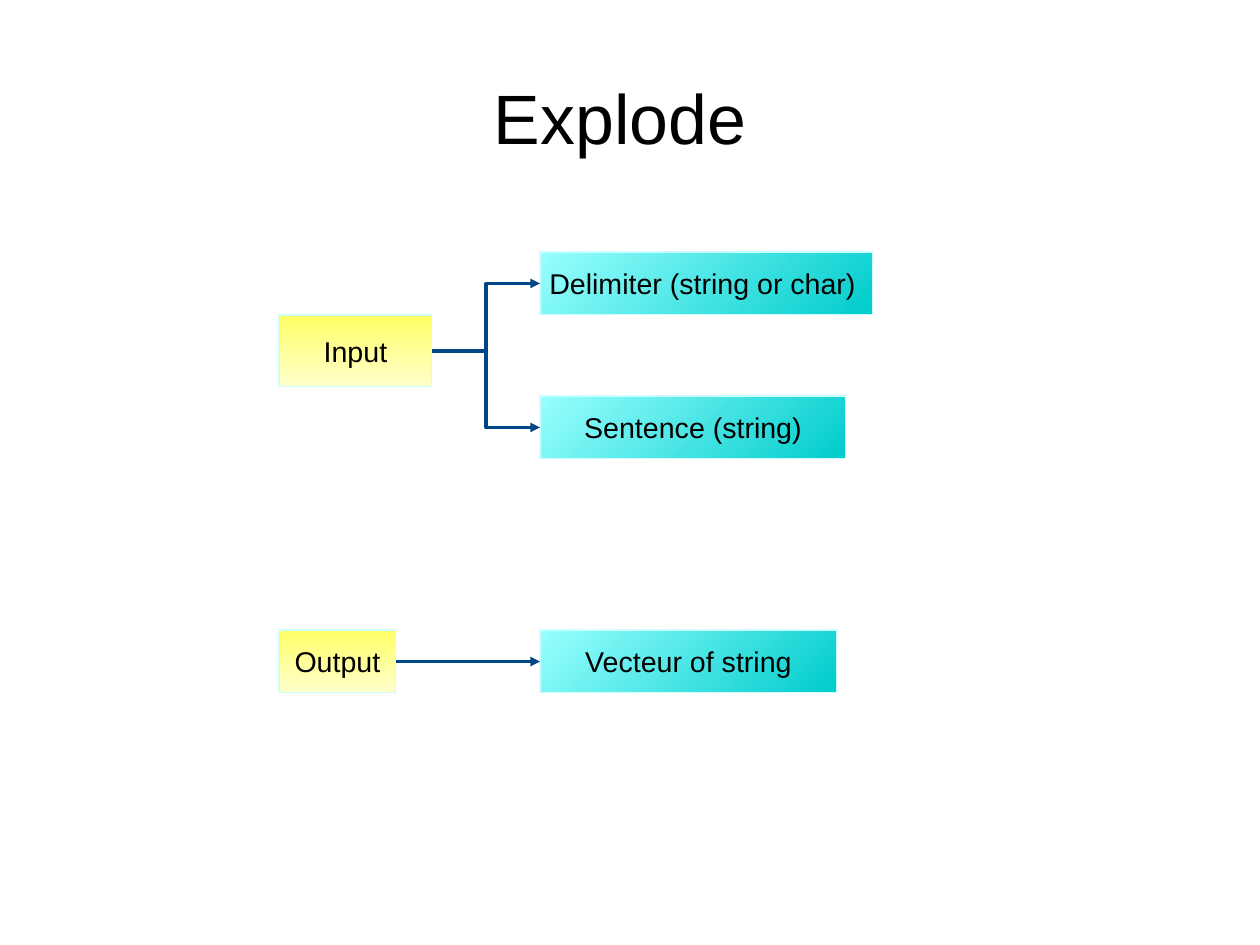
from lxml import etree
from pptx import Presentation
from pptx.dml.color import RGBColor
from pptx.enum.shapes import MSO_CONNECTOR as LINK, MSO_SHAPE as SHAPE
from pptx.enum.text import MSO_ANCHOR as ANCHOR, PP_ALIGN as ALIGN
from pptx.oxml.ns import qn
from pptx.util import Pt

SCALE = 8000
BLACK = RGBColor(0x00, 0x00, 0x00)
BORDER = RGBColor(0xCC, 0xFF, 0xFF)
ARROW = RGBColor(0x00, 0x45, 0x86)
YELLOWS = RGBColor(0xFF, 0xFF, 0x66), RGBColor(0xFF, 0xFF, 0xCC)
CYANS = RGBColor(0x99, 0xFF, 0xFF), RGBColor(0x00, 0xCC, 0xCC)
RIGHT_SITE, LEFT_SITE = 3, 1
DETAIL_OFFSET, DETAIL_HEIGHT = 261, 63


def px(*lengths):
    return [length * SCALE for length in lengths]


def write(frame, text, size):
    frame.text = text
    frame.vertical_anchor = ANCHOR.MIDDLE
    paragraph = frame.paragraphs[0]
    paragraph.alignment = ALIGN.CENTER
    font = paragraph.runs[0].font
    font.name, font.size = "Arial", Pt(size)
    font.color.rgb = BLACK


def add_title(slide, box, text):
    frame = slide.shapes.add_textbox(*px(*box)).text_frame
    frame.word_wrap = True
    frame.margin_left = frame.margin_right = 0
    frame.margin_top = frame.margin_bottom = 0
    write(frame, text, 44)


def add_block(slide, box, text, colors):
    block = slide.shapes.add_shape(SHAPE.RECTANGLE, *px(*box))
    block.shadow.inherit = False
    block.line.color.rgb = BORDER
    block.line.width = 0
    block.fill.gradient()
    block.fill.gradient_angle = 270
    for stop, color in zip(block.fill.gradient_stops, colors):
        stop.color.rgb = color
    write(block.text_frame, text, 18)
    block.text_frame.word_wrap = False
    return block


def add_detail(slide, box, text):
    detail = add_block(slide, box, text, CYANS)
    gradient = detail._element.spPr.find(qn("a:gradFill"))
    gradient.remove(gradient.find(qn("a:lin")))
    radial = etree.SubElement(gradient, qn("a:path"), path="circle")
    etree.SubElement(radial, qn("a:fillToRect"), l="0", t="0", r="100000", b="100000")
    return detail


def add_arrow(slide, source, target, kind):
    arrow = slide.shapes.add_connector(kind, 0, 0, 0, 0)
    arrow.begin_connect(source, RIGHT_SITE)
    arrow.end_connect(target, LEFT_SITE)
    arrow.line.color.rgb = ARROW
    arrow.line.width = 0
    etree.SubElement(arrow.line._get_or_add_ln(), qn("a:tailEnd"), type="triangle")
    etree.SubElement(arrow._element.spPr, qn("a:effectLst"))


def add_branch(slide, box, label, label_box, details, pitch, kind):
    left, top, width, height = box
    label_top, label_width, label_height = label_box
    source = add_block(slide, (left, top + label_top, label_width, label_height), label, YELLOWS)
    for row, (text, detail_width) in enumerate(details):
        detail_box = left + DETAIL_OFFSET, top + row * pitch, detail_width, DETAIL_HEIGHT
        add_arrow(slide, source, add_detail(slide, detail_box, text), kind)


presentation = Presentation()
presentation.slide_width, presentation.slide_height = px(1260, 945)
explode = presentation.slides.add_slide(presentation.slide_layouts[6])
add_title(explode, (63, 38, 1134, 158), "Explode ")
add_branch(explode, (279, 252, 594, 207), "Input", (63, 153, 72),
           [("Delimiter (string or char) ", 333), ("Sentence (string)", 306)], 144, LINK.ELBOW)
add_branch(explode, (279, 630, 558, 63), "Output", (0, 117, 63),
           [("Vecteur of string", 297)], 0, LINK.STRAIGHT)
presentation.save("out.pptx")
